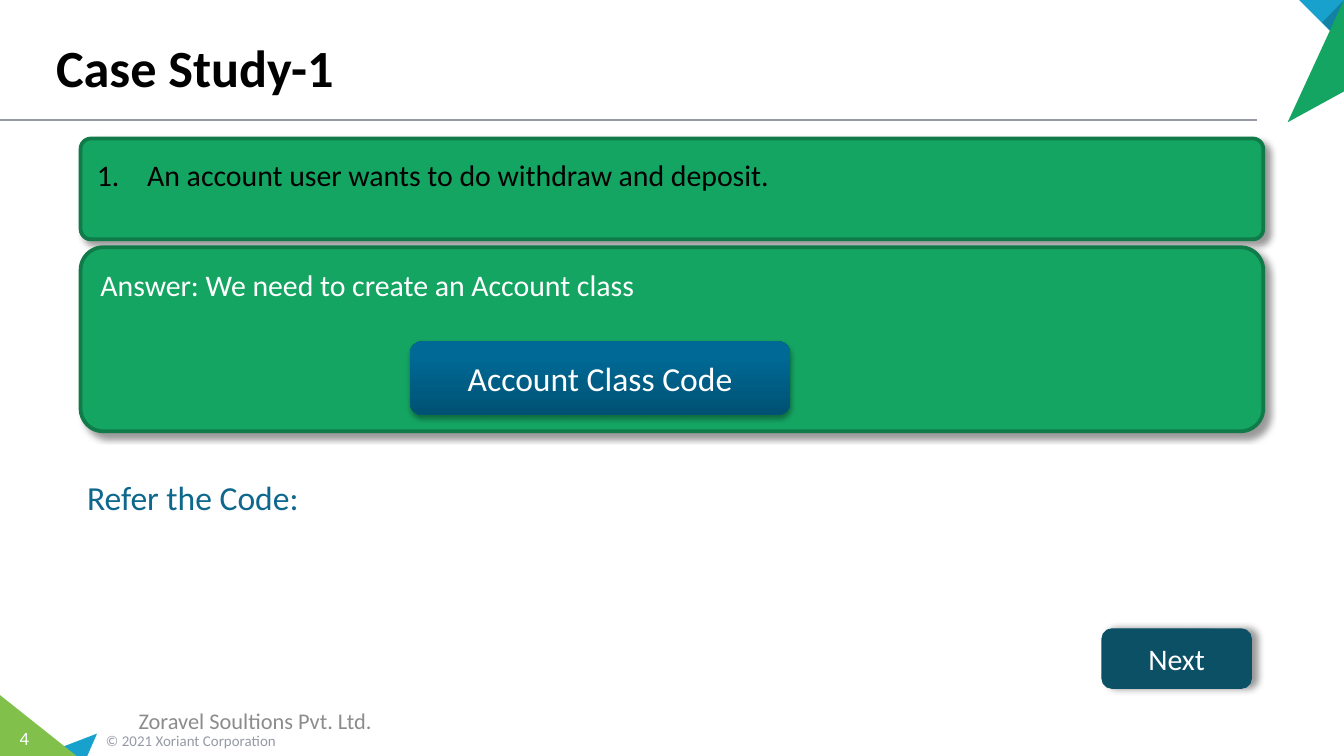
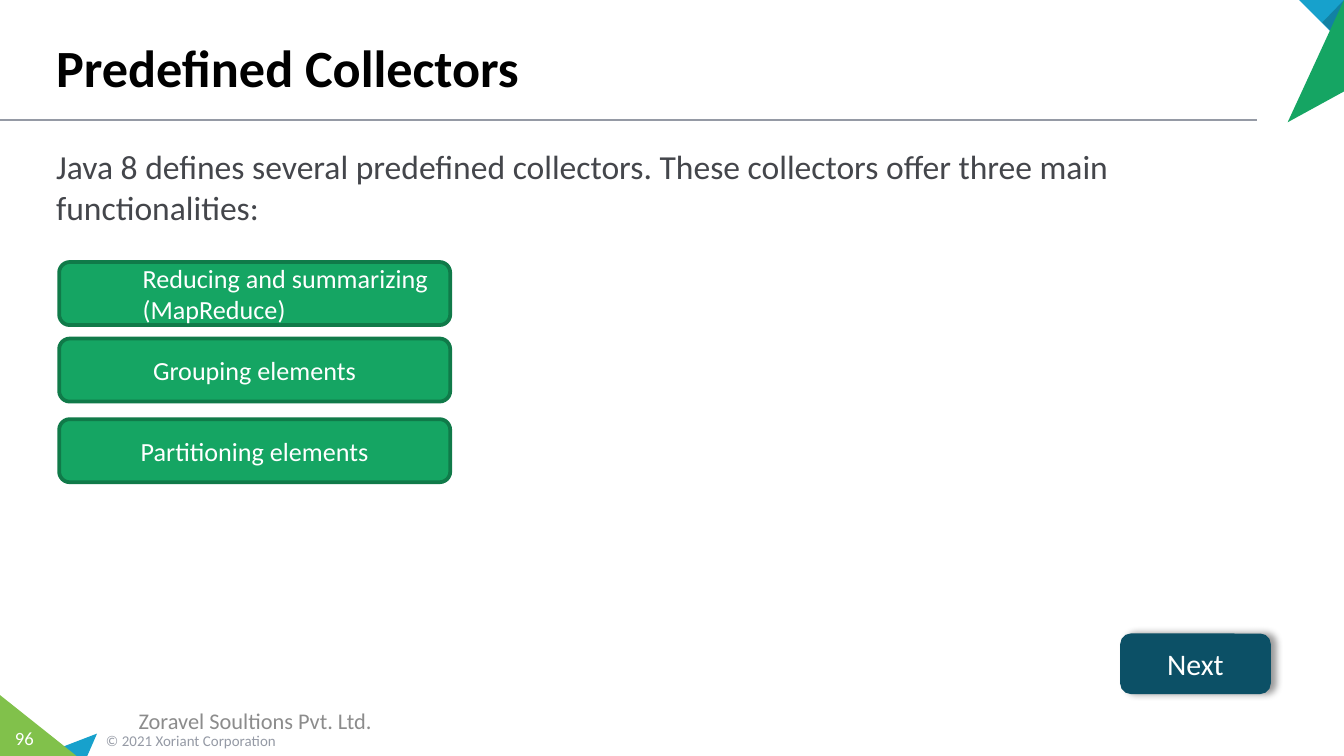
"""Builds two training slides that share a title rule, corner art and footer."""
from lxml import etree
from pptx import Presentation
from pptx.dml.color import RGBColor
from pptx.enum.shapes import MSO_CONNECTOR, MSO_SHAPE
from pptx.enum.text import MSO_ANCHOR, PP_ALIGN
from pptx.oxml.ns import qn
from pptx.util import Pt

LEFT, CENTER = PP_ALIGN.LEFT, PP_ALIGN.CENTER
TOP, MIDDLE, BOTTOM = MSO_ANCHOR.TOP, MSO_ANCHOR.MIDDLE, MSO_ANCHOR.BOTTOM
ROUNDED, STRAIGHT = MSO_SHAPE.ROUNDED_RECTANGLE, MSO_CONNECTOR.STRAIGHT

FONT = "Calibri"
COLORS = {
    "black": "000000", "white": "FFFFFF", "green": "15A563", "edge": "107A49",
    "lime": "81C14B", "sky": "17A1CC", "blue": "1281A3", "rule": "959AA5",
    "footer": "8C8C8C", "body": "44464B", "refer": "0E678C", "next": "0C5066",
    "button_dark": "005173", "button_light": "006995",
}
COPYRIGHT = "© 2021 Xoriant Corporation"
COMPANY = "Zoravel Soultions Pvt. Ltd."

TRIANGLES = [
    ("sky", [(52, 393), (46.8, 405), (20.9, 405)]),
    ("lime", [(0, 372.4), (41, 405), (0, 405)]),
    ("sky", [(696, 0), (720, 0), (720, 24)]),
    ("blue", [(708.4, 12), (720, 0), (720, 24)]),
    ("green", [(689.8, 65.5), (720, 0), (720, 49)]),
]

CASE_STUDY = {
    "title": "Case Study-1",
    "number": "4",
    "next": (590.4, 337),
    "question": "An account user wants to do withdraw and deposit.",
    "answer": "Answer: We need to create an Account class",
    "button": "Account Class Code",
    "refer": "Refer the Code:",
}
COLLECTORS = {
    "title": "Predefined Collectors",
    "number": "96",
    "next": (600.5, 339.8),
    "intro": "Java 8 defines several predefined collectors. "
             "These collectors offer three main functionalities:",
    "kinds": [
        ("Reducing and summarizing (MapReduce)", 140.4, LEFT, 36),
        ("Grouping elements", 181.4, CENTER, 0),
        ("Partitioning elements", 224.6, CENTER, 0),
    ],
}


def rgb(name):
    return RGBColor.from_string(COLORS[name])


def write(shape, text, size, color, align=LEFT, anchor=MIDDLE, bold=False):
    tf = shape.text_frame
    tf.word_wrap = True
    tf.vertical_anchor = anchor
    tf.text = text
    p = tf.paragraphs[0]
    p.alignment = align
    for r in p.runs:
        r.font.name, r.font.size, r.font.bold = FONT, Pt(size), bold
        r.font.color.rgb = rgb(color)
    return tf


def add_text(s, box, *args, **kwargs):
    return write(s.shapes.add_textbox(*map(Pt, box)), *args, **kwargs)


def indent(tf, left, numbered=False):
    pPr = tf.paragraphs[0]._p.get_or_add_pPr()
    pPr.set("marL", str(Pt(left)))
    pPr.set("indent", str(-Pt(left) if numbered else 0))
    if numbered:
        etree.SubElement(pPr, qn("a:buAutoNum"), type="arabicPeriod")


def add_shadow(sp, alpha, blur, dist, angle):
    effects = sp.element.spPr.find(qn("a:effectLst"))
    shadow = etree.SubElement(
        effects, qn("a:outerShdw"), blurRad=str(Pt(blur)), dist=str(Pt(dist)),
        dir=str(angle * 60000), algn="tl", rotWithShape="0")
    color = etree.SubElement(shadow, qn("a:srgbClr"), val=COLORS["black"])
    etree.SubElement(color, qn("a:alpha"), val=str(alpha * 1000))


def add_box(s, box, fill="green", edge="edge", width=2, radius=0.167, shadow=None):
    sp = s.shapes.add_shape(ROUNDED, *map(Pt, box))
    sp.adjustments[0] = radius
    sp.fill.solid()
    sp.fill.fore_color.rgb = rgb(fill)
    sp.line.color.rgb = rgb(edge)
    sp.line.width = Pt(width)
    sp.shadow.inherit = False
    if shadow:
        add_shadow(sp, *shadow)
    return sp


def add_triangle(s, color, points):
    start, *rest = [(Pt(x), Pt(y)) for x, y in points]
    builder = s.shapes.build_freeform(*start)
    builder.add_line_segments(rest, close=True)
    sp = builder.convert_to_shape()
    sp.fill.solid()
    sp.fill.fore_color.rgb = rgb(color)
    sp.line.fill.background()
    sp.shadow.inherit = False


def add_base(prs, content):
    s = prs.slides.add_slide(prs.slide_layouts[6])
    rule = s.shapes.add_connector(STRAIGHT, 0, Pt(64.2), Pt(673.4), Pt(64.2))
    rule.line.color.rgb = rgb("rule")
    rule.line.width = Pt(1)
    etree.SubElement(rule.element.spPr, qn("a:effectLst"))
    for color, points in TRIANGLES:
        add_triangle(s, color, points)
    add_text(s, (49.7, 388.3, 168, 17), COPYRIGHT, 8, "rule")
    tf = add_text(s, (0, 386, 26, 19.4), content["number"], 10, "white", CENTER, TOP)
    tf.margin_left = tf.margin_right = 0
    add_text(s, (23, 4.3, 648, 51.8), content["title"], 28, "black",
             anchor=BOTTOM, bold=True)
    add_text(s, (0, 375.1, 273.6, 21.6), COMPANY, 12, "footer", CENTER)
    sp = add_box(s, (*content["next"], 79.9, 31.7), "next", "next", 0.75,
                 shadow=(40, 4, 3, 0))
    write(sp, "Next", 16, "white", CENTER)
    return s


def add_case_study(prs, content):
    s = add_base(prs, content)
    shadow = (40, 4, 3, 45)
    sp = add_box(s, (43.2, 74.2, 633.6, 54), radius=0.102, shadow=shadow)
    tf = write(sp, content["question"], 16, "black", anchor=TOP)
    tf.margin_top = Pt(8.2)
    indent(tf, 27, numbered=True)

    sp = add_box(s, (43.2, 132.5, 633.6, 98.6), radius=0.123, shadow=shadow)
    tf = write(sp, content["answer"], 16, "white", anchor=TOP)
    tf.margin_top = Pt(7)

    sp = add_box(s, (219.6, 182.9, 203.8, 39.6), shadow=(35, 3.1, 1.8, 90))
    sp.line.fill.background()
    sp.fill.gradient()
    sp.fill.gradient_angle = 90
    stops = [(0, "button_dark"), (0.8, "button_light")]
    for stop, (position, color) in zip(sp.fill.gradient_stops, stops):
        stop.position = position
        stop.color.rgb = rgb(color)
    write(sp, content["button"], 18, "white", CENTER)
    add_text(s, (39.6, 252, 360, 28.8), content["refer"], 18, "refer", anchor=TOP)


def add_collectors(prs, content):
    s = add_base(prs, content)
    tf = add_text(s, (23, 74.9, 660, 307.4), content["intro"], 18, "body", anchor=TOP)
    tf.paragraphs[0].space_after = Pt(3)
    for text, top, align, left in content["kinds"]:
        sp = add_box(s, (31.7, top, 209.5, 33.8))
        indent(write(sp, text, 14, "white", align), left)


def main():
    prs = Presentation()
    prs.slide_width, prs.slide_height = Pt(720), Pt(405)
    add_case_study(prs, CASE_STUDY)
    add_collectors(prs, COLLECTORS)
    prs.save("out.pptx")


if __name__ == "__main__":
    main()
